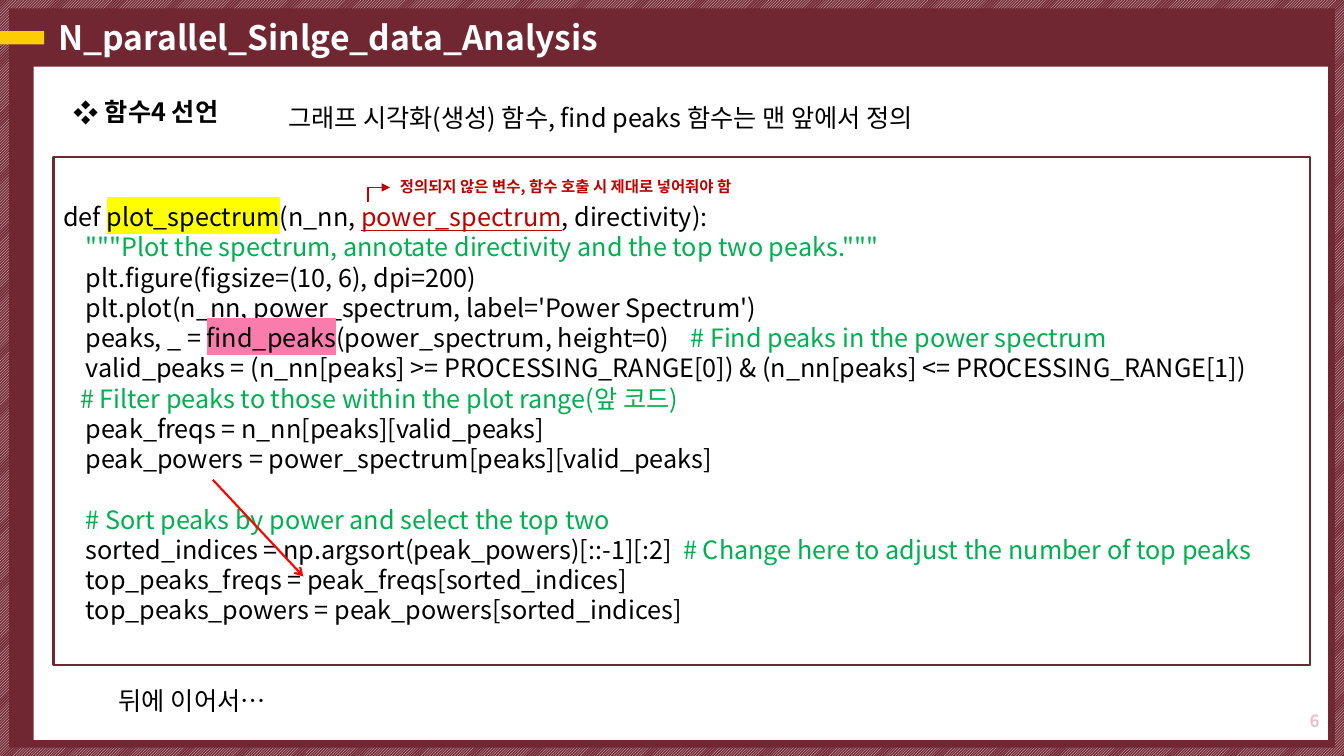
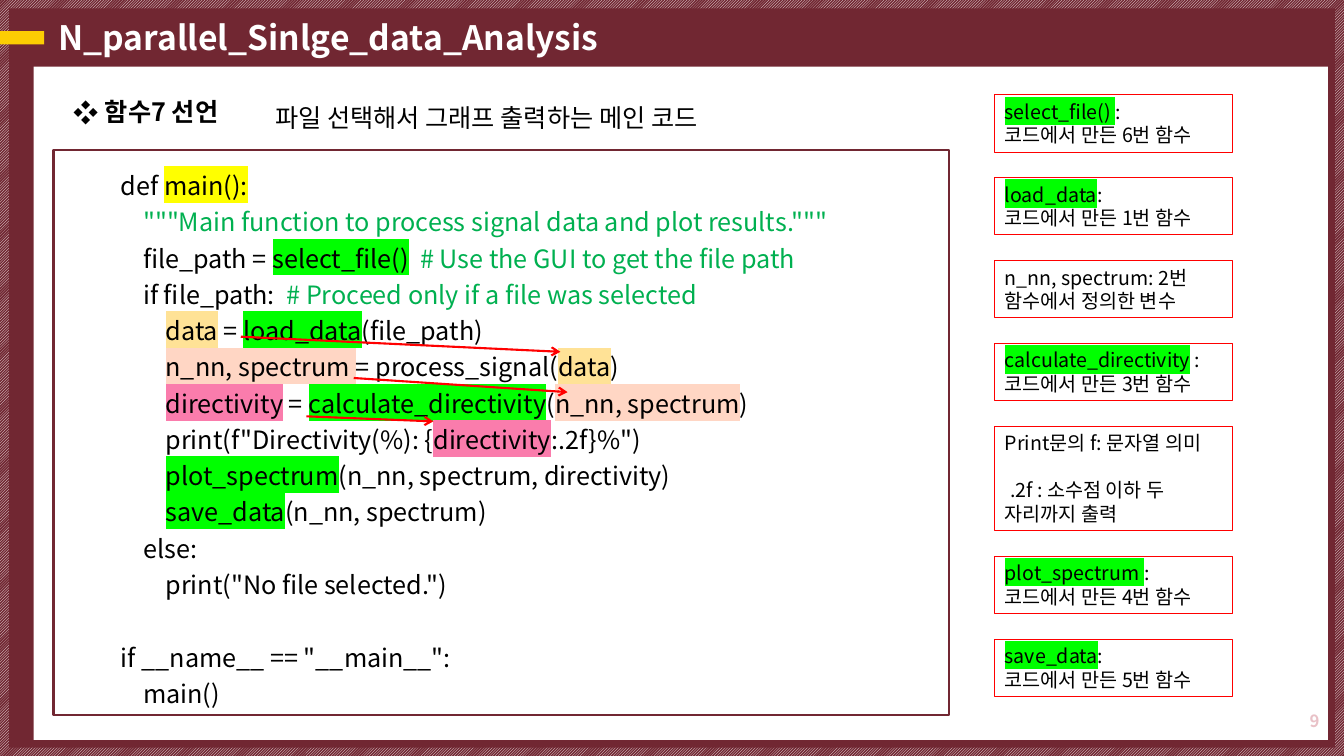
"""Build two slides that explain the functions of a signal analysis script."""
from lxml import etree
from pptx import Presentation
from pptx import util as u
from pptx.dml.color import RGBColor
from pptx.enum import dml, shapes, text
from pptx.oxml import ns

FONT = "Noto Sans CJK KR"
WINE = RGBColor(0x71, 0x27, 0x32)
GOLD = RGBColor(0xFD, 0xCD, 0x03)
WHITE = RGBColor(0xFF, 0xFF, 0xFF)
BLACK = RGBColor(0, 0, 0)
PINK = RGBColor(0xE9, 0xC1, 0xC7)
RED = RGBColor(0xFF, 0, 0)
DARK = RGBColor(0xC0, 0, 0)
GREEN = RGBColor(0x00, 0xB0, 0x50)

NOTE = {"ink": GREEN}
ALERT = {"ink": DARK, "line": True}
YELLOW = {"mark": "FFFF00"}
LIME = {"mark": "00FF00"}
ROSE = {"mark": "FA7CAC"}
SAND = {"mark": "FFE296"}
PEACH = {"mark": "FFD6C4"}

TITLE = "N_parallel_Sinlge_data_Analysis"
SPACE = 4
TAB = 450

PLOT = [
    (0, "def ", ("plot_spectrum", YELLOW), "(n_nn, ", ("power_spectrum", ALERT), ", directivity):"),
    (4, ('"""Plot the spectrum, annotate directivity and the top two peaks."""', NOTE)),
    (4, "plt.figure(figsize=(10, 6), dpi=200)"),
    (4, "plt.plot(n_nn, power_spectrum, label='Power Spectrum')"),
    (4, "peaks, _ = ", ("find_peaks", ROSE), "(power_spectrum, height=0)\t",
     ("# Find peaks in the power spectrum", NOTE)),
    (4, "valid_peaks = (n_nn[peaks] >= PROCESSING_RANGE[0]) & (n_nn[peaks] <= PROCESSING_RANGE[1])"),
    (3, ("# Filter peaks to those within the plot range(앞 코드)", NOTE)),
    (4, "peak_freqs = n_nn[peaks][valid_peaks]"),
    (4, "peak_powers = power_spectrum[peaks][valid_peaks]"),
    None,
    (4, ("# Sort peaks by power and select the top two", NOTE)),
    (4, "sorted_indices = np.argsort(peak_powers)[::-1][:2]  ",
     ("# Change here to adjust the number of top peaks", NOTE)),
    (4, "top_peaks_freqs = peak_freqs[sorted_indices]"),
    (4, "top_peaks_powers = peak_powers[sorted_indices]"),
]

MAIN = [
    (0, "def ", ("main():", YELLOW)),
    (4, ('"""Main function to process signal data and plot results."""', NOTE)),
    (4, "file_path = ", ("select_file()", LIME), "  ", ("# Use the GUI to get the file path", NOTE)),
    (4, "if file_path:  ", ("# Proceed only if a file was selected", NOTE)),
    (8, ("data", SAND), " = ", ("load_data", LIME), "(file_path)"),
    (8, ("n_nn, spectrum ", PEACH), "= process_signal(", ("data", SAND), ")"),
    (8, ("directivity", ROSE), " = ", ("calculate_directivity", LIME), "(",
     ("n_nn, spectrum", PEACH), ")"),
    (8, 'print(f"Directivity(%): {', ("directivity", ROSE), ':.2f}%")'),
    (8, ("plot_spectrum", LIME), "(n_nn, spectrum, directivity)"),
    (8, ("save_data", LIME), "(n_nn, spectrum)"),
    (4, "else:"),
    (8, 'print("No file selected.")'),
    None,
    (0, 'if __name__ == "__main__":'),
    (4, "main()"),
]


def made(name, mark, tail=":"):
    """Return the rows of a note on a function made earlier."""
    return [(0, (name, LIME), tail), (0, f"코드에서 만든 {mark}번 함수")]


NOTES = [
    made("select_file() ", 6),
    made("load_data", 1),
    [(0, "n_nn, spectrum: 2번"), (0, "함수에서 정의한 변수")],
    made("calculate_directivity", 3, " :"),
    [(0, "Print문의 f: 문자열 의미"), None, (1, ".2f : 소수점 이하 두"), (0, "자리까지 출력")],
    made("plot_spectrum ", 4),
    made("save_data", 5),
]


def style(run, size, bold, ink=BLACK, mark=None, line=False):
    """Set the font, colour, underline and highlight of a run."""
    font = run.font
    font.size, font.bold, font.name = u.Pt(size), bold, FONT
    font.color.rgb = ink
    if line:
        font.underline = True
    latin = font._element.find(ns.qn("a:latin"))
    east = etree.Element(ns.qn("a:ea"), typeface=FONT)
    latin.addnext(east)
    if mark:
        glow = etree.Element(ns.qn("a:highlight"))
        etree.SubElement(glow, ns.qn("a:srgbClr"), val=mark)
        latin.addprevious(glow)


def write(frame, rows, size, bold=False, ink=BLACK, lead=1.2, align=text.PP_ALIGN.LEFT,
          anchor=text.MSO_ANCHOR.TOP):
    """Fill a text frame with rows of an indent and styled pieces."""
    frame.word_wrap = True
    frame.auto_size = text.MSO_AUTO_SIZE.NONE
    frame.vertical_anchor = anchor
    pitch = u.Pt(size * lead)
    para, gap = None, 0
    for row in rows:
        if row is None:
            gap += pitch
            continue
        para = frame.add_paragraph() if para else frame.paragraphs[0]
        para.alignment, para.line_spacing, para.space_before = align, pitch, gap
        gap = 0
        props = para._p.get_or_add_pPr()
        props.set("marL", str(u.Pt(row[0] * SPACE)))
        props.set("indent", "0")
        for piece in row[1:]:
            words, look = (piece, {}) if isinstance(piece, str) else piece
            run = para.add_run()
            run.text = words
            style(run, size, bold, **{"ink": ink, **look})
            if "\t" in words:
                stops = etree.SubElement(props, ns.qn("a:tabLst"))
                etree.SubElement(stops, ns.qn("a:tab"), pos=str(u.Pt(TAB)), algn="l")


def label(slide, place, rows, size=18, **look):
    """Add a text box and return its frame."""
    frame = slide.shapes.add_textbox(*map(u.Pt, place)).text_frame
    write(frame, [(0, rows)] if isinstance(rows, str) else rows, size, **look)
    return frame


def block(slide, place, fill=None, edge=None, width=1.5):
    """Add a flat rectangle with an optional fill and edge."""
    box = slide.shapes.add_shape(shapes.MSO_SHAPE.RECTANGLE, *map(u.Pt, place))
    box.shadow.inherit = False
    if fill is None:
        box.fill.background()
    else:
        box.fill.solid()
        box.fill.fore_color.rgb = fill
    if edge is None:
        box.line.fill.background()
    else:
        box.line.color.rgb = edge
        box.line.width = u.Pt(width)
    return box


def arrow(slide, ends, ink=RED, width=1.5, head="arrow", kind=shapes.MSO_CONNECTOR.STRAIGHT):
    """Add a connector with a head at its far end."""
    link = slide.shapes.add_connector(kind, *map(u.Pt, ends))
    link.line.color.rgb = ink
    link.line.width = u.Pt(width)
    etree.SubElement(link.line._get_or_add_ln(), ns.qn("a:tailEnd"), type=head)
    etree.SubElement(link._element.spPr, ns.qn("a:effectLst"))
    return link


def elbow(slide, ends, bend):
    """Add a thin bent arrow that turns at a share of its width."""
    link = arrow(slide, ends, DARK, 1, "triangle", shapes.MSO_CONNECTOR.ELBOW)
    geom = link._element.spPr.find(ns.qn("a:prstGeom"))
    guides = geom.find(ns.qn("a:avLst"))
    etree.SubElement(guides, ns.qn("a:gd"), name="adj1", fmla=f"val {round(bend * 100000)}")


def dress(layout, slide):
    """Put the shared bands on the layout by way of a first slide."""
    for spot in list(layout.placeholders):
        if spot.placeholder_format.type != shapes.PP_PLACEHOLDER.TITLE:
            spot.element.getparent().remove(spot.element)
    back = block(slide, (0, 0, 960, 540), WINE)
    back.fill.patterned()
    back.fill.pattern = dml.MSO_PATTERN.DARK_UPWARD_DIAGONAL
    back.fill.fore_color.rgb = WHITE
    back.fill.back_color.rgb = WINE
    bands = [back, block(slide, (6.5, 6, 947, 528), WINE),
             block(slide, (24, 47.5, 924.5, 481), WHITE),
             block(slide, (-3, 22.3, 34.5, 9.4), GOLD)]
    for band in bands:
        layout.shapes.element.append(band.element)


def start(slide, number, head, lead, place, panel):
    """Add the title, page number, heading, lead text and code panel."""
    title = slide.shapes.title
    title.left, title.top, title.width, title.height = map(u.Pt, (34.6, 11.5, 819.4, 33.1))
    middle = text.MSO_ANCHOR.MIDDLE
    write(title.text_frame, [(0, TITLE)], 24, True, WHITE, 1.08, anchor=middle)
    block(slide, panel, edge=WINE)
    label(slide, (678.2, 500.4, 271.4, 28.8), number, 12, bold=True, ink=PINK,
          align=text.PP_ALIGN.RIGHT, anchor=middle)
    frame = label(slide, (45.4, 65.5, 897.8, 28.8), head, bold=True)
    props = frame.paragraphs[0]._p.get_or_add_pPr()
    props.set("marL", str(u.Pt(22.5)))
    props.set("indent", str(u.Pt(-22.5)))
    etree.SubElement(props, ns.qn("a:buFont"), typeface=FONT)
    etree.SubElement(props, ns.qn("a:buChar"), char="❖")
    label(slide, place, lead)


def stack(slide, notes, left=710.6, top=67.7, gap=18.2):
    """Stack red note boxes with equal gaps, each as tall as its rows."""
    for rows in notes:
        height = len(rows) * 16.8 + 7.4
        box = block(slide, (left, top, 170, height), edge=RED, width=0.75)
        write(box.text_frame, rows, 14)
        top += height + gap


def show_plot(slide):
    """Build the slide on the plot function."""
    start(slide, "6", "함수4 선언", "그래프 시각화(생성) 함수, find peaks 함수는 맨 앞에서 정의",
          (198.7, 69.8, 671.8, 28.8), (38.2, 112.3, 897.8, 362.9))
    label(slide, (38.2, 140.4, 890.6, 334), PLOT)
    label(slide, (77.8, 486, 671.8, 28.8), "뒤에 이어서…")
    arrow(slide, (152, 342.7, 216.7, 411.8))
    elbow(slide, (262.3, 144, 278.6, 133.9), 0.03)
    label(slide, (278.6, 123.1, 306.7, 20.9), "정의되지 않은 변수, 함수 호출 시 제대로 넣어줘야 함",
          11, bold=True, ink=DARK)


def show_main(slide):
    """Build the slide on the main function."""
    start(slide, "9", "함수7 선언", "파일 선택해서 그래프 출력하는 메인 코드",
          (189.4, 69.8, 699.8, 28.8), (38.2, 107.3, 640, 403.2))
    label(slide, (79.2, 113.8, 617.8, 397.4), MAIN, lead=1.44)
    for ends in [(172, 240.5, 400.3, 251.3), (252.7, 270, 405.4, 280.1), (218.9, 297.4, 309.6, 301)]:
        arrow(slide, ends)
    stack(slide, NOTES)


def main():
    """Build and save the deck."""
    deck = Presentation()
    deck.slide_width, deck.slide_height = u.Pt(960), u.Pt(540)
    layout = deck.slide_layouts[5]
    first = deck.slides.add_slide(layout)
    dress(layout, first)
    show_plot(first)
    show_main(deck.slides.add_slide(layout))
    deck.save("out.pptx")


if __name__ == "__main__":
    main()
